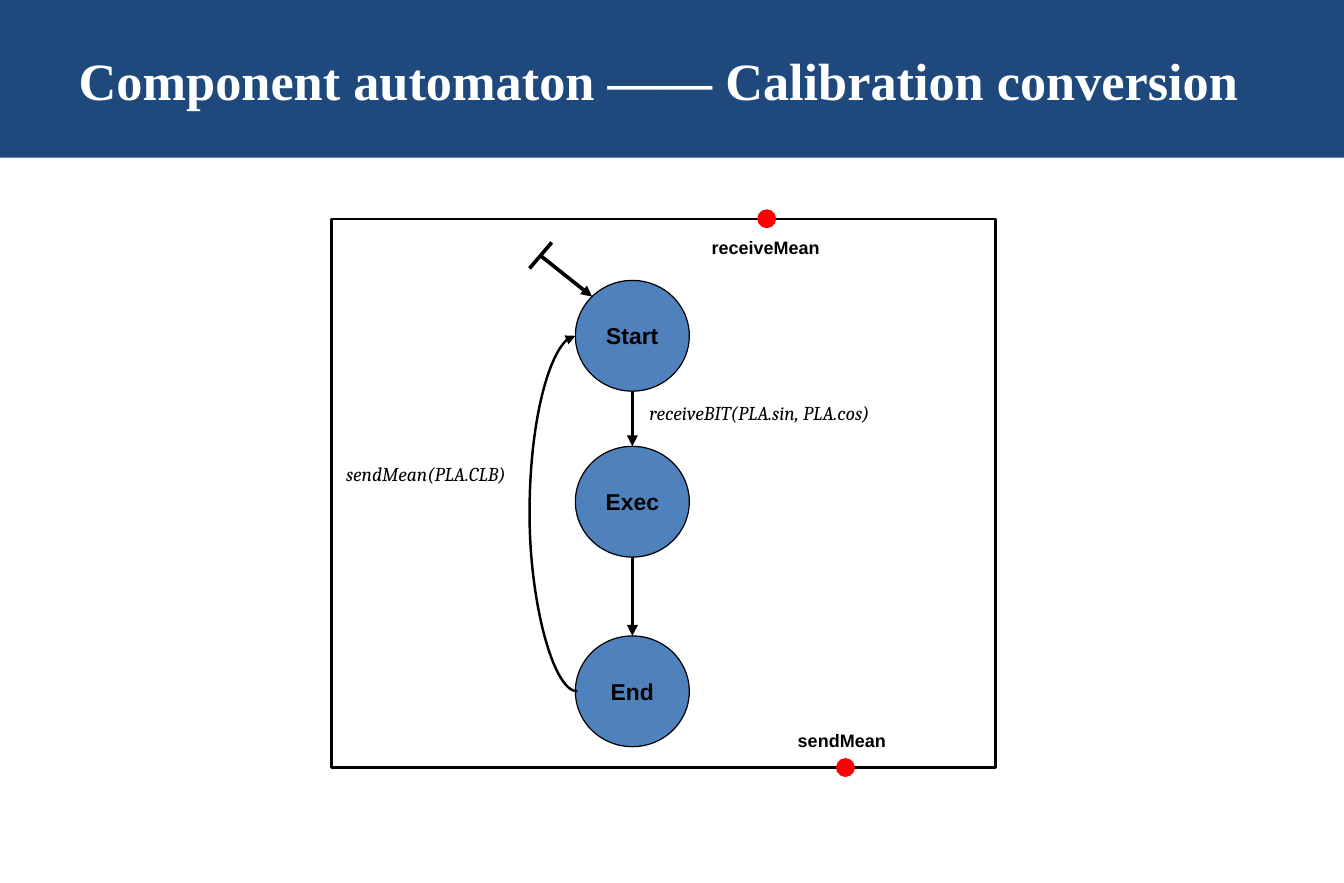
from dataclasses import dataclass
from typing import NamedTuple

from lxml import etree
from pptx import Presentation
from pptx import util as u
from pptx.dml.color import RGBColor
from pptx.enum import shapes, text
from pptx.oxml.ns import qn


@dataclass(frozen=True)
class Theme:
    navy: str = "1F497D"
    blue: str = "4F81BD"
    red: str = "FF0000"
    black: str = "000000"
    white: str = "FFFFFF"
    head: float = 32
    state: float = 14
    label: float = 12
    port: float = 11
    thin: float = 0.75
    mid: float = 1.5
    thick: float = 2.25


class Box(NamedTuple):
    x: float
    y: float
    w: float
    h: float

    def place(self) -> list[u.Length]:
        return [u.Cm(v) for v in self]


class Font(NamedTuple):
    name: str
    size: float
    color: str
    bold: bool = False
    slant: bool = False


class State(NamedTuple):
    name: str
    top: float


class Port(NamedTuple):
    name: str
    x: float
    y: float
    label: Box


class Label(NamedTuple):
    words: str
    box: Box


T = Theme()
HEAD = Font("Times New Roman", T.head, T.white, bold=True)
STATE = Font("Arial", T.state, T.black, bold=True)
PORT = Font("Arial", T.port, T.black, bold=True)
CALL = Font("Cambria", T.label, T.black, slant=True)

WIDE, HIGH = 29.01, 19.05
FRAME = Box(7.16, 4.72, 14.33, 11.84)
LEFT, NODE_W, NODE_H = 12.42, 2.46, 2.39
MID = LEFT + NODE_W / 2
DOT = 0.38
BEND = 11.43

STATES = [State("Start", 6.05), State("Exec", 9.63), State("End", 13.72)]
CALLS = [
    Label("receiveBIT(PLA.sin, PLA.cos)", Box(14.02, 8.64, 5.41, 0.51)),
    Label("sendMean(PLA.CLB)", Box(7.47, 9.96, 3.96, 0.51)),
]
PORTS = [
    Port("receiveMean", 16.55, FRAME.y, Box(15.11, 4.98, 2.87, 0.74)),
    Port("sendMean", 18.25, FRAME.y + FRAME.h, Box(16.97, 15.62, 2.44, 0.74)),
]


def rgb(color: str) -> RGBColor:
    return RGBColor.from_string(color)


def write(frame, words: str, font: Font) -> None:
    run = frame.paragraphs[0].add_run()
    run.text = words
    run.font.name = font.name
    run.font.size = u.Pt(font.size)
    run.font.bold = font.bold
    run.font.italic = font.slant
    run.font.color.rgb = rgb(font.color)


def shape(slide, kind, box: Box, fill: str, line: str = "", width: float = 0):
    item = slide.shapes.add_shape(kind, *box.place())
    item.shadow.inherit = False
    item.fill.solid()
    item.fill.fore_color.rgb = rgb(fill)
    if line:
        item.line.color.rgb = rgb(line)
        item.line.width = u.Pt(width)
    else:
        item.line.fill.background()
    return item


def note(slide, words: str, box: Box, font: Font, wrap: bool = True, flush: bool = False):
    frame = slide.shapes.add_textbox(*box.place()).text_frame
    frame.word_wrap = wrap
    if flush:
        frame.margin_left = frame.margin_right = 0
        frame.margin_top = frame.margin_bottom = 0
    write(frame, words, font)
    return frame


def link(slide, start: tuple, end: tuple, width: float, arrow: bool = True,
         kind=shapes.MSO_CONNECTOR.STRAIGHT):
    item = slide.shapes.add_connector(kind, *(u.Cm(v) for v in start + end))
    item.line.color.rgb = rgb(T.black)
    item.line.width = u.Pt(width)
    if arrow:
        tail = etree.SubElement(item.line._get_or_add_ln(), qn("a:tailEnd"))
        tail.set("type", "triangle")
    etree.SubElement(item._element.spPr, qn("a:effectLst"))
    return item


def loop(slide, low: tuple, high: tuple, bend: float) -> None:
    """Draw a curve from low up to high, bulging left as far as bend."""
    item = link(slide, high, low, T.mid, kind=shapes.MSO_CONNECTOR.CURVE)
    props = item._element.spPr
    props.find(qn("a:xfrm")).set("rot", "10800000")
    guide = etree.SubElement(props.find(qn("a:prstGeom")).find(qn("a:avLst")), qn("a:gd"))
    ratio = (low[0] - bend) / (low[0] - high[0])
    guide.set("name", "adj1")
    guide.set("fmla", f"val {round(ratio * 100000)}")


def main() -> None:
    deck = Presentation()
    deck.slide_width, deck.slide_height = u.Cm(WIDE), u.Cm(HIGH)
    slide = deck.slides.add_slide(deck.slide_layouts[6])
    kinds = shapes.MSO_SHAPE

    # Title band
    shape(slide, kinds.RECTANGLE, Box(0, 0, WIDE, 3.4), T.navy)
    head = note(slide, "Component automaton —— Calibration conversion",
                Box(1.45, 0.13, 26.11, 3.18), HEAD)
    head.vertical_anchor = text.MSO_ANCHOR.MIDDLE

    # Component frame
    shape(slide, kinds.RECTANGLE, FRAME, T.white, T.black, T.mid)

    # States
    for state in STATES:
        node = shape(slide, kinds.OVAL, Box(LEFT, state.top, NODE_W, NODE_H),
                     T.blue, T.black, T.thin)
        frame = node.text_frame
        frame.vertical_anchor = text.MSO_ANCHOR.MIDDLE
        frame.paragraphs[0].alignment = text.PP_ALIGN.CENTER
        write(frame, state.name, STATE)

    # Entry mark and steps between states
    link(slide, (11.91, 5.23), (11.43, 5.79), T.thick, arrow=False)
    link(slide, (11.66, 5.51), (12.78, 6.4), T.thick)
    for prior, after in zip(STATES, STATES[1:]):
        link(slide, (MID, prior.top + NODE_H), (MID, after.top), T.thick)

    # Return from the last state to the first
    first, last = (s.top + NODE_H / 2 for s in (STATES[0], STATES[-1]))
    loop(slide, (LEFT + 0.04, last), (LEFT, first), BEND)

    # Calls on the steps
    for call in CALLS:
        note(slide, call.words, call.box, CALL, flush=True)

    # Ports on the frame
    for port in PORTS:
        dot = Box(port.x - DOT / 2, port.y - DOT / 2, DOT, DOT)
        shape(slide, kinds.FLOWCHART_CONNECTOR, dot, T.red, T.red, T.thin)
        note(slide, port.name, port.label, PORT, wrap=False)

    deck.save("out.pptx")


if __name__ == "__main__":
    main()
